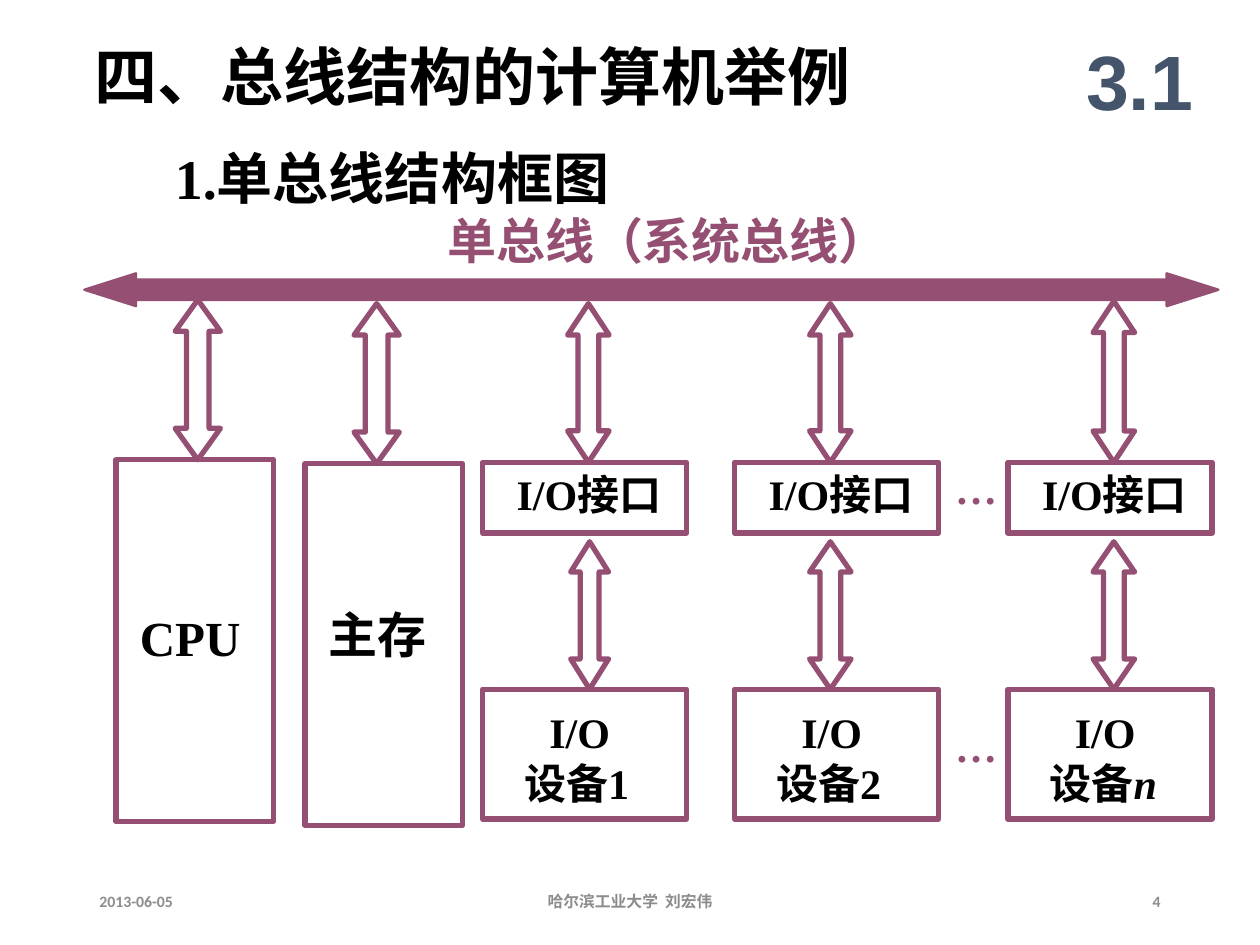
from dataclasses import dataclass

from pptx import Presentation
from pptx.dml.color import RGBColor
from pptx.enum.lang import MSO_LANGUAGE_ID
from pptx.enum.shapes import MSO_SHAPE
from pptx.enum.text import MSO_ANCHOR, PP_ALIGN
from pptx.util import Inches, Pt

CHINESE = MSO_LANGUAGE_ID.SIMPLIFIED_CHINESE
RECTANGLE = MSO_SHAPE.RECTANGLE
TOP, MIDDLE = MSO_ANCHOR.TOP, MSO_ANCHOR.MIDDLE
LEFT, CENTER, RIGHT = PP_ALIGN.LEFT, PP_ALIGN.CENTER, PP_ALIGN.RIGHT


@dataclass(frozen=True)
class Theme:
    ink: str = "000000"
    plum: str = "954F72"
    slate: str = "44546A"
    gray: str = "8C8C8C"
    serif: str = "Times New Roman"
    sans: str = "Arial"
    footer_font: str = "Calibri"
    chinese: str = "Noto Sans CJK SC"
    number: int = 44
    title: int = 36
    heading: int = 32
    label: int = 28
    body: int = 24
    footer: int = 9
    outline: float = 3
    bus_outline: float = 1.38


class Diagram:
    def __init__(self, page, theme):
        self.page = page
        self.theme = theme

    def fill_text(self, box, lines, size, color=None, font=None, align=LEFT,
                  anchor=TOP, insets=(0.1, 0.05), wrap=True):
        frame = box.text_frame
        frame.word_wrap = wrap
        frame.vertical_anchor = anchor
        frame.margin_left = frame.margin_right = Inches(insets[0])
        frame.margin_top = frame.margin_bottom = Inches(insets[1])
        for index, (indent, spans) in enumerate(lines):
            para = frame.paragraphs[0] if index == 0 else frame.add_paragraph()
            para.alignment = align
            if indent:
                properties = para._p.get_or_add_pPr()
                properties.set("marL", str(Inches(indent)))
                properties.set("indent", "0")
            for text, italic in spans:
                span = para.add_run()
                span.text = text
                span.font.name = font or self.theme.serif
                span.font.size = Pt(size)
                span.font.bold = True
                span.font.italic = italic
                span.font.language_id = CHINESE
                span.font.color.rgb = RGBColor.from_string(color or self.theme.ink)

    def text(self, place, words, size, **style):
        box = self.page.shapes.add_textbox(*map(Inches, place))
        self.fill_text(box, [(0, [(words, False)])], size, **style)

    def outline(self, shape, width, fill=None):
        shape.shadow.inherit = False
        shape.line.color.rgb = RGBColor.from_string(self.theme.plum)
        shape.line.width = Pt(width)
        if fill:
            shape.fill.solid()
            shape.fill.fore_color.rgb = RGBColor.from_string(fill)
        else:
            shape.fill.background()

    def block(self, place, lines, size, top=0.05):
        box = self.page.shapes.add_shape(RECTANGLE, *map(Inches, place))
        self.outline(box, self.theme.outline)
        self.fill_text(box, lines, size, insets=(0, top))
        box.text_frame.margin_bottom = 0

    def polygon(self, points, width, fill=None):
        points = [(Inches(x), Inches(y)) for x, y in points]
        builder = self.page.shapes.build_freeform(*points[0])
        builder.add_line_segments(points[1:], close=True)
        self.outline(builder.convert_to_shape(), width, fill)

    def double_arrow(self, center, top, bottom, width, head):
        wide, narrow = width / 2, width / 4
        upper, lower = top + head, bottom - head
        self.polygon([
            (center, top), (center + wide, upper), (center + narrow, upper),
            (center + narrow, lower), (center + wide, lower), (center, bottom),
            (center - wide, lower), (center - narrow, lower),
            (center - narrow, upper), (center - wide, upper),
        ], self.theme.outline)

    def bus(self, left, right, middle, head=0.41, wide=0.13, narrow=0.08):
        start, end = left + head, right - head
        self.polygon([
            (left, middle), (start, middle + wide), (start, middle + narrow),
            (end, middle + narrow), (end, middle + wide), (right, middle),
            (end, middle - wide), (end, middle - narrow),
            (start, middle - narrow), (start, middle - wide),
        ], self.theme.bus_outline, self.theme.plum)


def main():
    deck = Presentation()
    deck.slide_width, deck.slide_height = Inches(10), Inches(7.5)
    theme = Theme()
    diagram = Diagram(deck.slides.add_slide(deck.slide_layouts[6]), theme)

    diagram.text((0.65, 0.25, 6.95, 0.7), "四、总线结构的计算机举例", theme.title)
    diagram.text((1.29, 1.09, 6.96, 0.63), "1.单总线结构框图", theme.heading)
    diagram.text((8.42, 0.17, 1.25, 0.92), "3.1", theme.number, color=theme.slate,
                 font=theme.sans, align=CENTER, anchor=MIDDLE)
    for left, width, words, align in (
        (0.69, 2.25, "2013-06-05", LEFT),
        (3.31, 3.38, "哈尔滨工业大学  刘宏伟", CENTER),
        (7.06, 2.25, "4", RIGHT),
    ):
        diagram.text((left, 6.95, width, 0.4), words, theme.footer, color=theme.gray,
                     font=theme.footer_font, align=align, anchor=MIDDLE)

    diagram.text((3.55, 1.67, 3.52, 0.47), "单总线（系统总线）", theme.label,
                 color=theme.plum, font=theme.chinese, insets=(0, 0), wrap=False)
    diagram.bus(0.67, 9.67, 2.3)

    for left, top, center, words, inset in (
        (0.92, 3.65, 1.57, "CPU", 1.17),
        (2.42, 3.68, 2.99, "主存", 1.12),
    ):
        diagram.block((left, top, 1.25, 2.87), [(0.19, [(words, False)])],
                      theme.label, inset)
        diagram.double_arrow(center, top - 1.27, top, 0.36, 0.25)

    for left, upper_center, lower_center, bus_end, lower_width, number in (
        (3.83, 4.67, 4.68, 2.41, 0.3, "1"),
        (5.83, 6.59, 6.59, 2.41, 0.33, "2"),
        (8, 8.84, 8.84, 2.39, 0.33, "n"),
    ):
        diagram.block((left, 3.67, 1.62, 0.56), [(0.27, [("I/O接口", False)])],
                      theme.body)
        device = [("设备", False), (number, number == "n")]
        diagram.block((left, 5.47, 1.62, 1.03),
                      [(0.53, [("I/O", False)]), (0.33, device)], theme.body, 0.14)
        diagram.double_arrow(upper_center, bus_end, 3.67, 0.33, 0.25)
        diagram.double_arrow(lower_center, 4.3, 5.47, lower_width, 0.24)

    for top, width in ((3.67, 0.42), (5.72, 0.58)):
        diagram.text((7.58, top, width, 0.4), "…", theme.body, color=theme.plum,
                     insets=(0, 0))

    deck.save("out.pptx")


if __name__ == "__main__":
    main()
